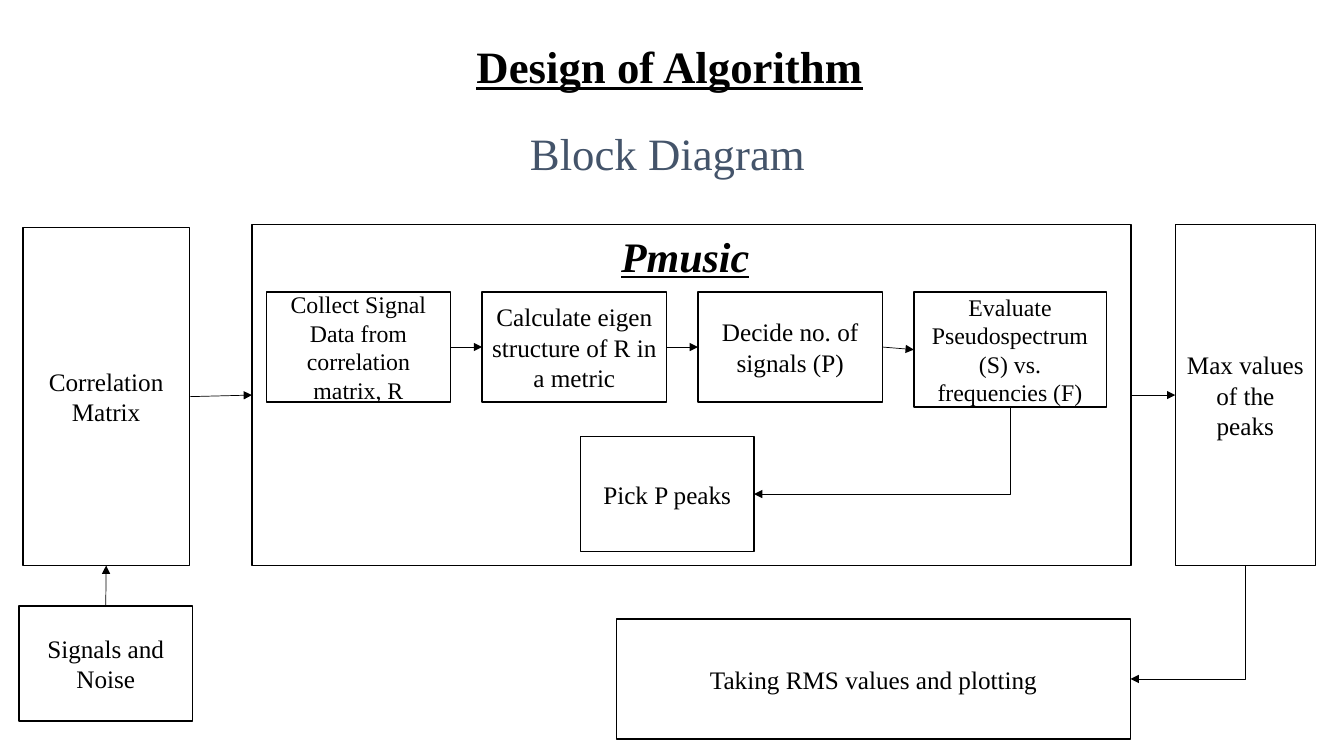
from pptx import Presentation
from pptx import util as u
from pptx.dml.color import RGBColor
from pptx.enum import shapes, text
from pptx.oxml import ns, xmlchemy

BLACK = RGBColor(0x00, 0x00, 0x00)
WHITE = RGBColor(0xFF, 0xFF, 0xFF)
SLATE = RGBColor(0x44, 0x54, 0x6A)
FONT = "Times New Roman"
TOP, LEFT, BOTTOM, RIGHT = range(4)


def write(shape, words, size=18, color=BLACK, bold=False, italic=False,
          underline=False, anchor=text.MSO_ANCHOR.MIDDLE, spacing=1.0):
    frame = shape.text_frame
    frame.word_wrap = True
    frame.auto_size = text.MSO_AUTO_SIZE.NONE
    frame.vertical_anchor = anchor
    para = frame.paragraphs[0]
    para.alignment = text.PP_ALIGN.CENTER
    para.line_spacing = spacing
    span = para.add_run()
    span.text = words
    font = span.font
    font.name, font.size, font.color.rgb = FONT, u.Pt(size), color
    font.bold, font.italic, font.underline = bold, italic, underline


def add_block(page, left, top, width, height, words="", outline=BLACK, **style):
    block = page.shapes.add_shape(
        shapes.MSO_SHAPE.RECTANGLE, u.Cm(left), u.Cm(top), u.Cm(width), u.Cm(height))
    block.shadow.inherit = False
    block.fill.solid()
    block.fill.fore_color.rgb = WHITE
    block.line.color.rgb = outline
    block.line.width = u.Pt(1)
    if words:
        write(block, words, **style)
    return block


def style_arrow(arrow):
    arrow.line.color.rgb = BLACK
    arrow.line.width = u.Pt(0.5)
    tail = xmlchemy.OxmlElement("a:tailEnd")
    tail.set("type", "triangle")
    arrow.line._get_or_add_ln().append(tail)
    arrow._element.spPr.append(xmlchemy.OxmlElement("a:effectLst"))


def join(page, source, source_side, target, target_side):
    arrow = page.shapes.add_connector(shapes.MSO_CONNECTOR.STRAIGHT, 0, 0, 0, 0)
    arrow.begin_connect(source, source_side)
    arrow.end_connect(target, target_side)
    style_arrow(arrow)


def join_down_left(page, source, target):
    start_x = source.left + source.width // 2
    start_y = source.top + source.height
    end_x = target.left + target.width
    end_y = target.top + target.height // 2
    run, drop = start_x - end_x, end_y - start_y
    left = (start_x + end_x - drop) // 2
    top = (start_y + end_y - run) // 2
    arrow = page.shapes.add_connector(
        shapes.MSO_CONNECTOR.ELBOW, left, top, left + drop, top + run)
    properties = arrow._element.spPr
    properties.find(ns.qn("a:xfrm")).set("rot", "5400000")
    properties.find(ns.qn("a:prstGeom")).set("prst", "bentConnector2")
    style_arrow(arrow)


def add_headings(page, left, top, width):
    height = 1.57
    title = page.shapes.title
    title.left, title.top = u.Cm(left), u.Cm(top + 2.19)
    title.width, title.height = u.Cm(width), u.Cm(height)
    write(title, "Block Diagram", size=32, color=SLATE,
          anchor=text.MSO_ANCHOR.BOTTOM, spacing=0.9)
    heading = page.shapes.add_textbox(
        u.Cm(left + 0.05), u.Cm(top), u.Cm(width), u.Cm(height))
    write(heading, "Design of Algorithm", size=32, bold=True, underline=True,
          anchor=text.MSO_ANCHOR.BOTTOM, spacing=0.9)


def add_pmusic(page, left, top, width, height):
    region = add_block(page, left, top, width, height)
    add_block(page, left + 3.45, top + 0.23, 14.94, 1.09, "Pmusic", outline=WHITE,
              size=30, bold=True, italic=True, underline=True)
    steps = [
        ("Collect Signal Data from correlation matrix, R", 17, 4.65, 2.77),
        ("Calculate eigen structure of R in a metric", 18, 4.65, 2.77),
        ("Decide no. of signals (P)", 18, 4.65, 2.77),
        ("Evaluate Pseudospectrum (S) vs. frequencies (F)", 17, 4.85, 2.9),
    ]
    pitch = 5.44
    blocks = [
        add_block(page, left + 0.36 + index * pitch, top + 1.7,
                  step_width, step_height, words, size=size)
        for index, (words, size, step_width, step_height) in enumerate(steps)
    ]
    for source, target in zip(blocks, blocks[1:]):
        join(page, source, RIGHT, target, LEFT)
    peaks = add_block(page, left + 8.28, top + 5.34, 4.37, 2.9, "Pick P peaks")
    join_down_left(page, blocks[-1], peaks)
    return region


def add_input(page, left, top):
    matrix = add_block(page, left + 0.1, top, 4.19, 8.51, "Correlation Matrix")
    signals = add_block(page, left, top + 9.53, 4.37, 2.9, "Signals and Noise")
    join(page, signals, TOP, matrix, BOTTOM)
    return matrix


def add_output(page, left, top):
    maxima = add_block(page, left + 14.08, top, 3.53, 8.59, "Max values of the peaks")
    plotting = add_block(page, left, top + 9.94, 12.95, 3.02,
                         "Taking RMS values and plotting")
    join_down_left(page, maxima, plotting)
    return maxima


def main():
    deck = Presentation()
    deck.slide_width, deck.slide_height = u.Cm(33.87), u.Cm(19.05)
    page = deck.slides.add_slide(deck.slide_layouts[5])
    add_headings(page, 0.53, 0.91, 32.59)
    pmusic = add_pmusic(page, 6.35, 5.66, 22.15, 8.59)
    matrix = add_input(page, 0.48, 5.74)
    maxima = add_output(page, 15.54, 5.66)
    join(page, matrix, RIGHT, pmusic, LEFT)
    join(page, pmusic, RIGHT, maxima, LEFT)
    deck.save("out.pptx")


if __name__ == "__main__":
    main()
